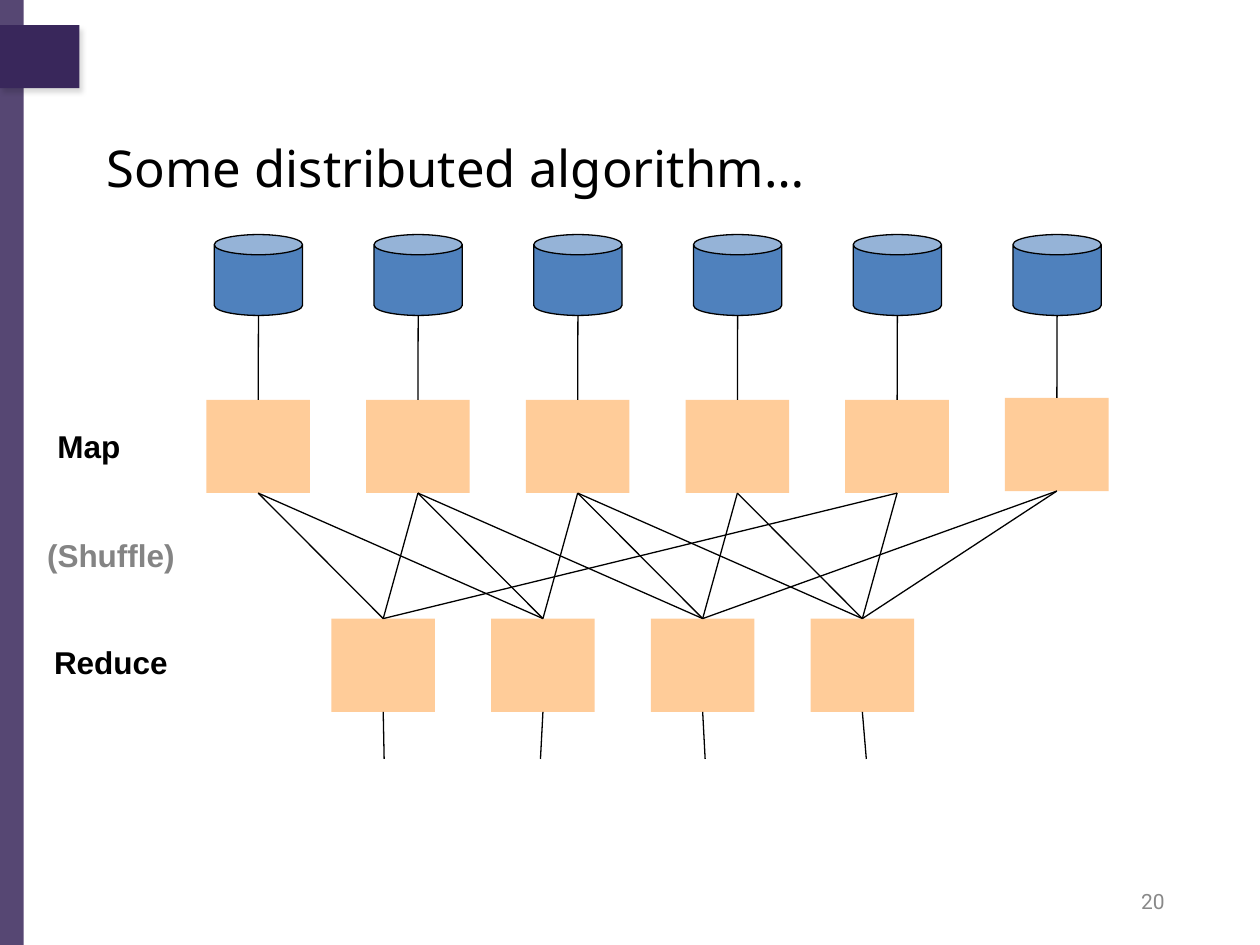
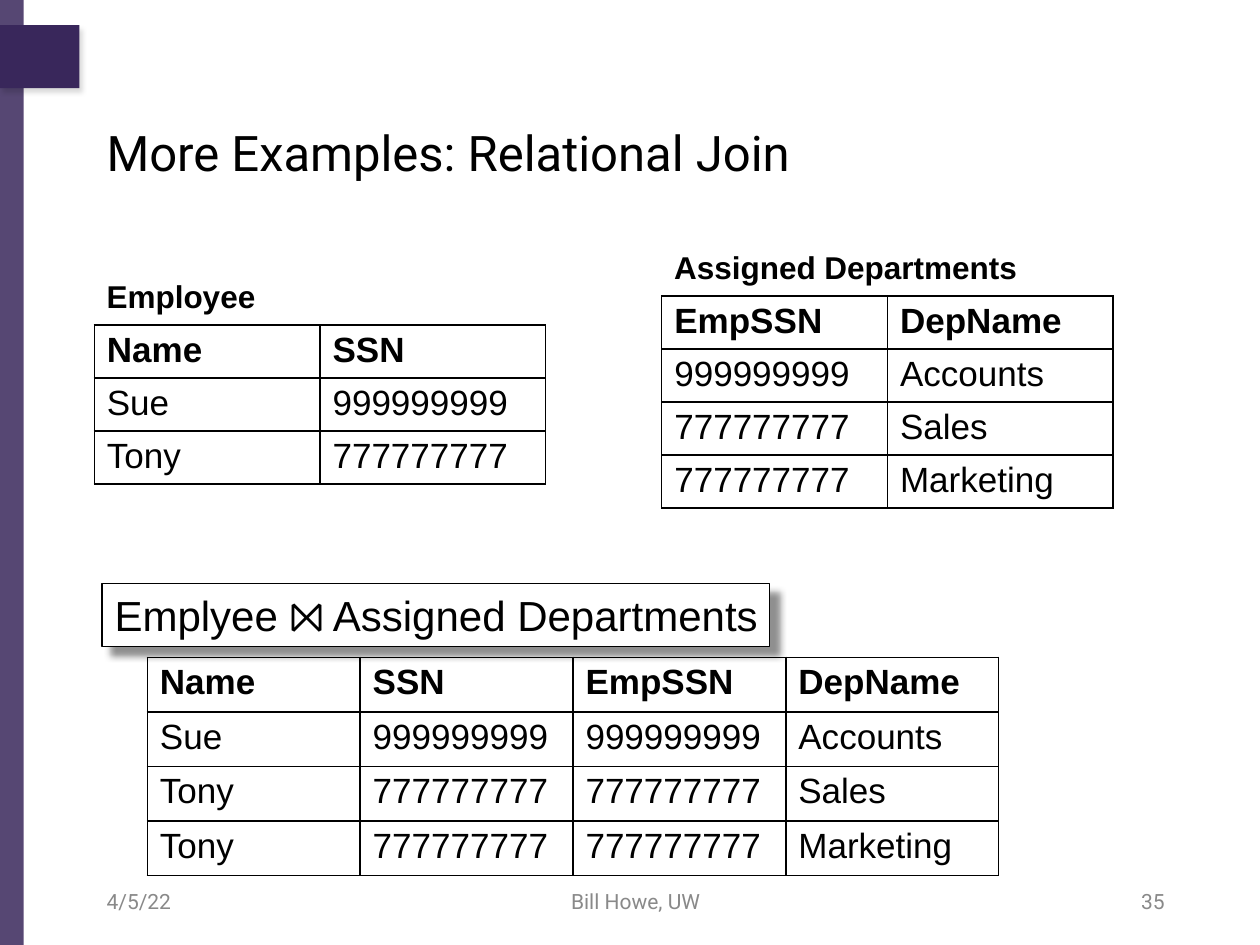
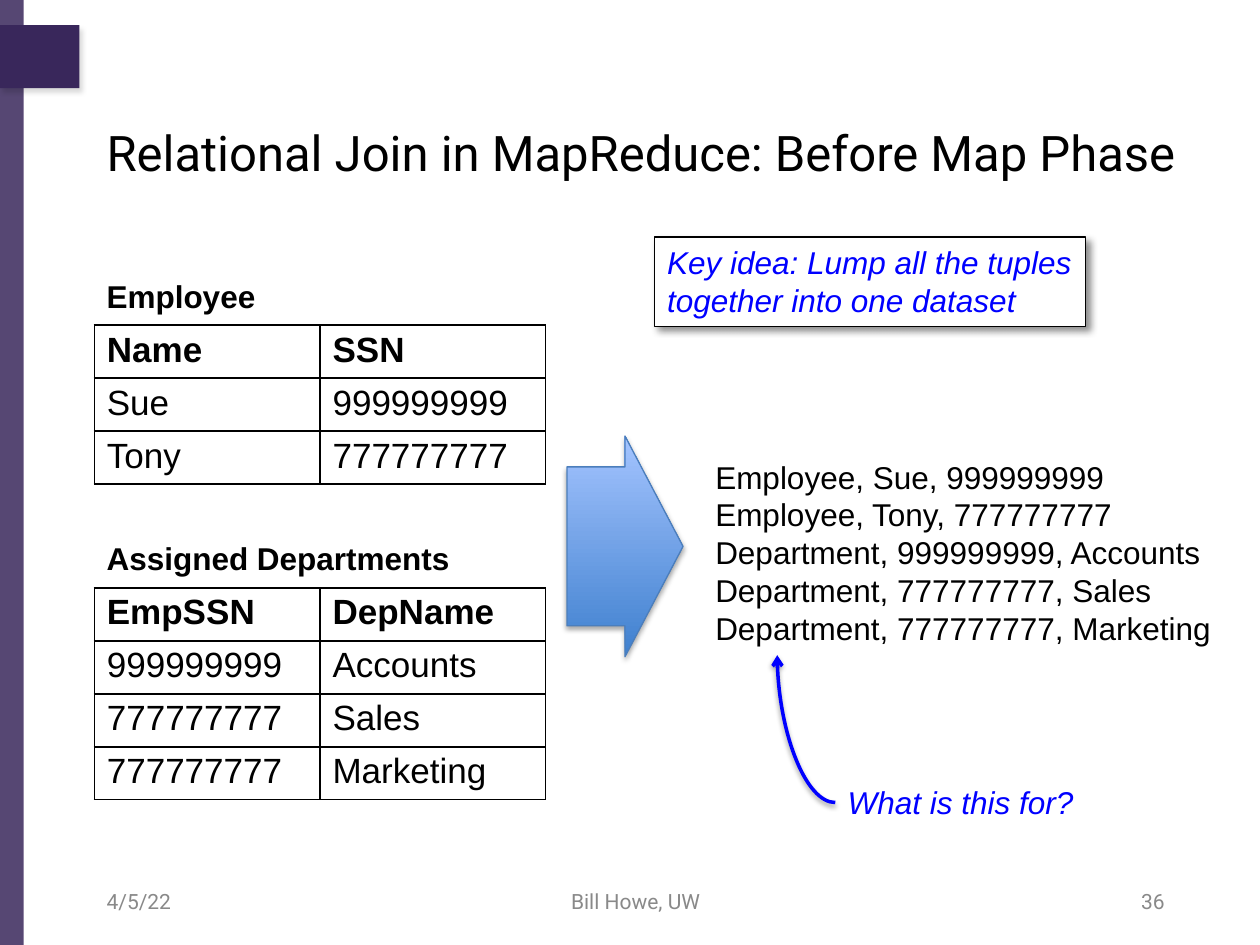
from lxml import etree
from pptx import Presentation
from pptx.dml.color import RGBColor
from pptx.enum import shapes, text
from pptx.oxml import ns
from pptx.util import Cm, Pt

# Colours
PURPLE = RGBColor(0x39, 0x27, 0x5B)
PEACH = RGBColor(0xFF, 0xCC, 0x99)
STEEL = RGBColor(0x4F, 0x81, 0xBD)
BLUE = RGBColor(0x00, 0x00, 0xFF)
BLACK = RGBColor(0x00, 0x00, 0x00)
WHITE = RGBColor(0xFF, 0xFF, 0xFF)
GREY = RGBColor(0x89, 0x89, 0x89)
DIM = RGBColor(0x84, 0x84, 0x84)
EDGE = RGBColor(0x4B, 0x7E, 0xBC)
DEEP = RGBColor(0x3F, 0x80, 0xCE)
PALE = RGBColor(0xA4, 0xC4, 0xFF)

KIND = shapes.MSO_SHAPE
ALIGN = text.PP_ALIGN
MIDDLE = text.MSO_ANCHOR.MIDDLE

# Relations
STAFF = [("Name", "SSN"), ("Sue", "999999999"), ("Tony", "777777777")]
DEPTS = [("EmpSSN", "DepName"), ("999999999", "Accounts"),
         ("777777777", "Sales"), ("777777777", "Marketing")]
JOIN = [person + dept for dept in DEPTS for person in STAFF
        if person[1] == dept[0] or (person, dept) == (STAFF[0], DEPTS[0])]

# Diagram: for each mapper, the reducers it feeds
FEEDS = [(0, 1), (0, 1, 2), (1, 2, 3), (2, 3), (0, 3), (2, 3)]
DRIFT = [0.02, -0.05, 0.05, 0.08]
STEP = 3.22
BOX_W, BOX_H = 2.09, 1.88
CAN_W, CAN_H = 1.78, 1.63


# XML helpers
def sub(node, tag, **attrs):
    return etree.SubElement(node, ns.qn(tag), **attrs)


def shade(item, alpha, blur, dist, angle):
    """Give a shape or connector a black outer shadow."""
    props = item._element.spPr
    for old in props.findall(ns.qn("a:effectLst")):
        props.remove(old)
    outer = sub(sub(props, "a:effectLst"), "a:outerShdw",
                blurRad=str(Pt(blur)), dist=str(Pt(dist)),
                dir=str(angle * 60000), algn="ctr", rotWithShape="0")
    sub(sub(outer, "a:srgbClr", val=str(BLACK)), "a:alpha", val=str(alpha * 1000))


# Elements
def style(frame, size, color=BLACK, font="Arial", bold=False, slant=False,
          align=ALIGN.LEFT):
    for para in frame.paragraphs:
        para.alignment = align
        for run in para.runs:
            face = run.font
            face.name, face.size = font, Pt(size)
            face.bold, face.italic = bold, slant
            face.color.rgb = color


def label(slide, words, x, y, w, h, size=18, wrap=True, anchor=None, **look):
    frame = slide.shapes.add_textbox(Cm(x), Cm(y), Cm(w), Cm(h)).text_frame
    frame.word_wrap = wrap
    frame.vertical_anchor = anchor
    frame.text = words
    style(frame, size, **look)


def shape(slide, kind, x, y, w, h, fill=None, line=None):
    item = slide.shapes.add_shape(kind, Cm(x), Cm(y), Cm(w), Cm(h))
    item.shadow.inherit = False
    if fill is not None:
        item.fill.solid()
        item.fill.fore_color.rgb = fill
    if line is None:
        item.line.fill.background()
    else:
        item.line.color.rgb = line
        item.line.width = Pt(0.75)
    return item


def note(slide, words, x, y, w, h, size, dist, wrap, **look):
    """White framed box with a shadow."""
    item = shape(slide, KIND.RECTANGLE, x, y, w, h, WHITE, BLACK)
    shade(item, 43, 4, dist, 45)
    frame = item.text_frame
    frame.word_wrap = wrap
    frame.vertical_anchor = text.MSO_ANCHOR.TOP
    frame.text = words
    style(frame, size, **look)


def link(slide, start, end, color=BLACK, width=0.75,
         kind=shapes.MSO_CONNECTOR.STRAIGHT):
    item = slide.shapes.add_connector(kind, *map(Cm, start + end))
    item.line.color.rgb = color
    item.line.width = Pt(width)
    sub(item._element.spPr, "a:effectLst")
    return item


def border(cell):
    props = cell._tc.get_or_add_tcPr()
    for spot, side in enumerate(("a:lnL", "a:lnR", "a:lnT", "a:lnB")):
        line = etree.Element(ns.qn(side), w=str(Pt(1)))
        sub(sub(line, "a:solidFill"), "a:srgbClr", val=str(BLACK))
        props.insert(spot, line)


def table(slide, rows, x, y, col=4.55, high=1.04):
    count = len(rows[0])
    grid = slide.shapes.add_table(len(rows), count, Cm(x), Cm(y),
                                  Cm(col * count), Cm(high * len(rows))).table
    for column in grid.columns:
        column.width = Cm(col)
    for r, row in enumerate(rows):
        grid.rows[r].height = Cm(high)
        for c, words in enumerate(row):
            cell = grid.cell(r, c)
            cell.margin_top = cell.margin_bottom = Cm(0.11)
            cell.text = words
            cell.fill.background()
            border(cell)
            style(cell.text_frame, 20, bold=r == 0)


def relation(slide, name, rows, x, y, w):
    """Table with its bold name above."""
    label(slide, name, x, y, w, 1.02, wrap=False, bold=True)
    table(slide, rows, x, y + 1.1)


def page(deck, title, number, y=1.8, w=23.5, size=28, font="Roboto", full=True):
    """Slide with bands, title and footer."""
    slide = deck.slides.add_slide(deck.slide_layouts[6])
    band = shape(slide, KIND.RECTANGLE, 0, 0, 0.48, 19.05, PURPLE)
    tint = band._element.spPr.find(".//" + ns.qn("a:srgbClr"))
    sub(tint, "a:alpha", val="85000")
    tab = shape(slide, KIND.RECTANGLE, 0, 0.51, 1.6, 1.27, PURPLE)
    shade(tab, 15, 3, 3, 60)
    label(slide, title, 1.9, y, w, 2.54, size, anchor=MIDDLE, font=font)
    foot = [(number, 17.8, 5.93, ALIGN.RIGHT)]
    if full:
        foot += [("4/5/22", 1.9, 5.93, ALIGN.LEFT),
                 ("Bill Howe, UW", 8.79, 8.05, ALIGN.CENTER)]
    for words, x, wide, align in foot:
        label(slide, words, x, 17.65, wide, 1.02, 12, anchor=MIDDLE,
              color=GREY, font="Roboto", align=align)
    return slide


# Slides
def flow(deck):
    slide = page(deck, "Some distributed algorithm…", "20", y=2.11, w=21.82,
                 size=29, font="Noto Sans", full=False)
    maps = [(4.16 + STEP * i, 8.02 if i == 5 else 8.06) for i in range(6)]
    reds = [(6.68 + STEP * i, 12.47) for i in range(4)]
    for x, y in maps + reds:
        shape(slide, KIND.RECTANGLE, x, y, BOX_W, BOX_H, PEACH)

    # Shuffle
    for (x, y), feeds in zip(maps, FEEDS):
        for i in feeds:
            left, top = reds[i]
            link(slide, (x + BOX_W / 2, y + BOX_H), (left + BOX_W / 2, top))

    # Inputs and outputs
    for i, (x, y) in enumerate(maps):
        left = 4.32 + STEP * i
        link(slide, (left + CAN_W / 2, 4.73 + CAN_H), (x + BOX_W / 2, y))
        shape(slide, KIND.CAN, left, 4.73, CAN_W, CAN_H, STEEL, BLACK)
    for (x, y), drift in zip(reds, DRIFT):
        mid = x + BOX_W / 2
        link(slide, (mid, y + BOX_H), (mid + drift, 15.3))

    # Phase names
    for words, x, y, w, color in [("Map", 0.91, 8.48, 2.57, BLACK),
                                  ("(Shuffle)", 0.7, 10.68, 4.01, DIM),
                                  ("Reduce", 0.84, 12.83, 3.3, BLACK)]:
        label(slide, words, x, y, w, 1.27, color=color, bold=True)


def join(deck):
    slide = page(deck, "More Examples: Relational Join", "35")
    relation(slide, "Employee", STAFF, 1.9, 5.45, 3.53)
    relation(slide, "Assigned Departments", DEPTS, 13.34, 4.87, 7.49)
    note(slide, "Emplyee ⨝ Assigned Departments", 2.06, 11.76, 13.46, 1.27,
         24, 7, False)
    table(slide, JOIN, 2.97, 13.25, 4.29, 1.1)


def lump(deck):
    slide = page(deck, "Relational Join in MapReduce: Before Map Phase", "36")
    relation(slide, "Employee", STAFF, 1.9, 5.45, 3.53)
    relation(slide, "Assigned Departments", DEPTS, 1.9, 10.75, 7.49)
    note(slide, "Key idea: Lump all the tuples together into one dataset",
         13.2, 4.78, 8.69, 1.8, 18, 3, True, color=BLUE, slant=True)

    # Tagged tuples
    tuples = [("Employee",) + row for row in STAFF[1:]]
    tuples += [("Department",) + row for row in DEPTS[1:]]
    label(slide, "\n".join(", ".join(row) for row in tuples),
          14.17, 9.1, 10.8, 4.11)

    # Block arrow
    arrow = shape(slide, KIND.RIGHT_ARROW, 11.43, 8.79, 2.34, 4.45, line=EDGE)
    arrow.adjustments[0] = 0.72
    arrow.fill.gradient()
    arrow.fill.gradient_angle = 90
    for stop, color, spot in zip(arrow.fill.gradient_stops, (DEEP, PALE), (0, 1)):
        stop.color.rgb = color
        stop.position = spot
    shade(arrow, 35, 3.1, 1.8, 90)

    # Question
    label(slide, "What is this for?", 16.84, 15.67, 6.45, 1.02,
          color=BLUE, slant=True)
    curve = link(slide, (16.84, 16.18), (15.67, 13.21), BLUE, 2,
                 shapes.MSO_CONNECTOR.CURVE)
    curve._element.spPr.find(ns.qn("a:prstGeom")).set("prst", "curvedConnector2")
    sub(curve.line._get_or_add_ln(), "a:tailEnd", type="arrow")
    shade(curve, 38, 3.1, 1.6, 90)


def main():
    deck = Presentation()
    deck.slide_width, deck.slide_height = Cm(25.4), Cm(19.05)
    flow(deck)
    join(deck)
    lump(deck)
    deck.save("out.pptx")


if __name__ == "__main__":
    main()
